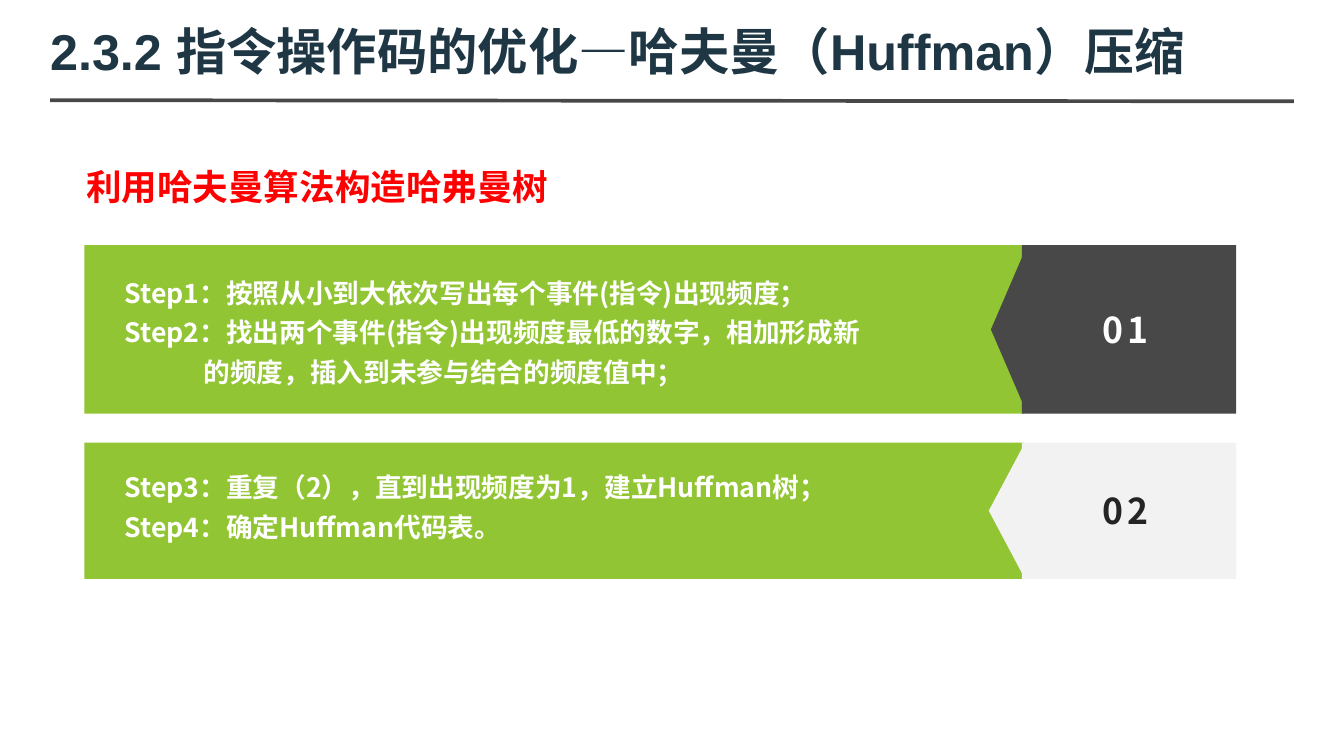
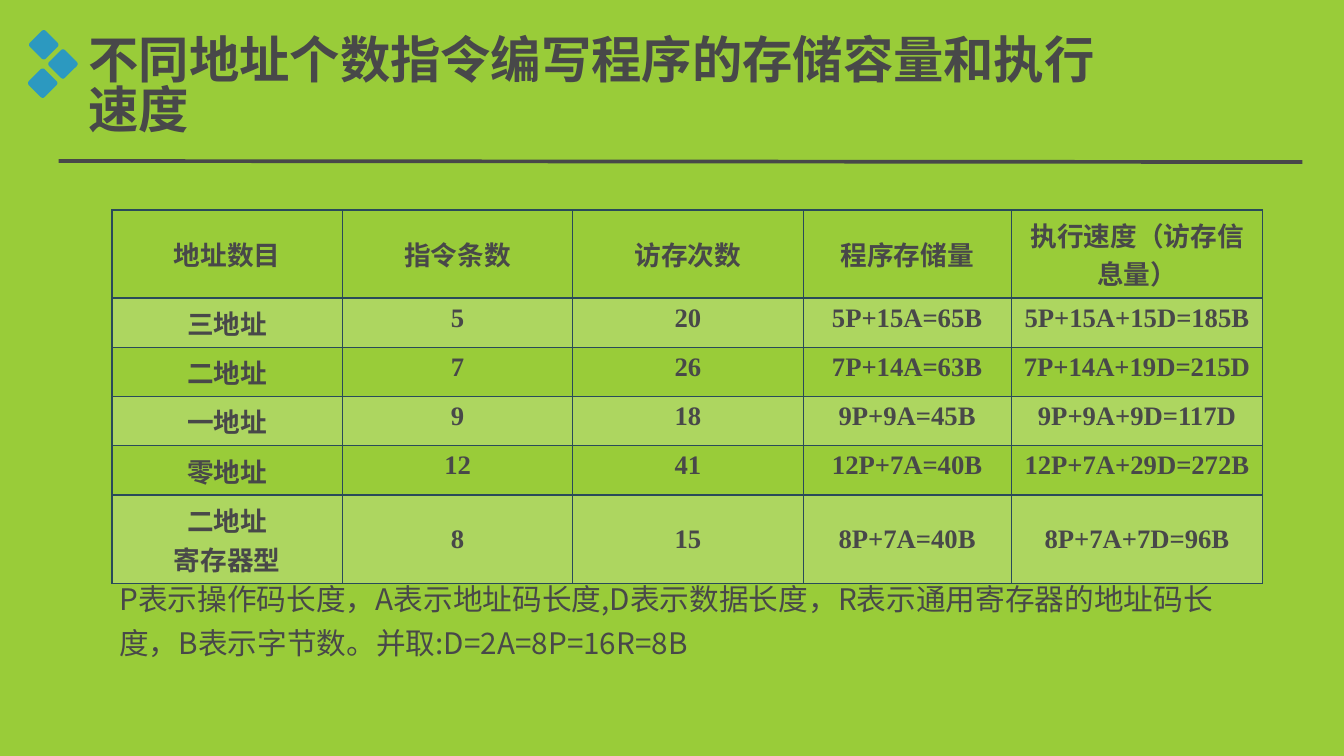
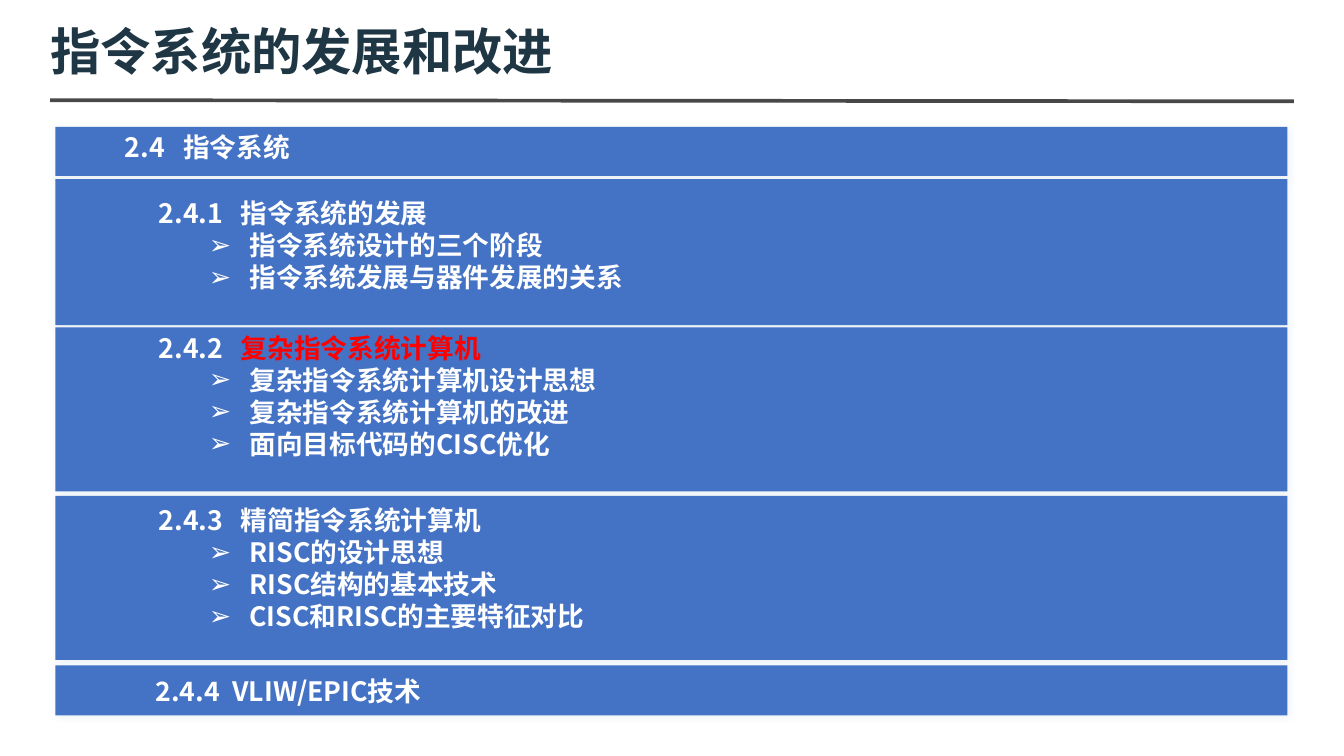
import lxml.etree
import pptx
import pptx.dml.color
import pptx.enum.shapes
import pptx.enum.text
import pptx.oxml.ns
import pptx.util

Inches = pptx.util.Inches
Pt = pptx.util.Pt
qn = pptx.oxml.ns.qn
SHAPE = pptx.enum.shapes.MSO_SHAPE
ALIGN = pptx.enum.text.PP_ALIGN
ANCHOR = pptx.enum.text.MSO_ANCHOR

COLORS = {
    "white": "FFFFFF", "lime": "99CC39", "green": "92C533", "dark": "484849",
    "pale": "F2F2F2", "black": "242424", "red": "FF0000", "navy": "1F3744",
    "border": "294A5A", "diamond": "2C99C0", "band": "4472C4", "glow": "7DADC4",
}
CJK = "Noto Sans CJK SC"
TITLE = {"size": 34, "color": "navy", "name": "Arial", "bold": True}
STEP = {"size": 18, "color": "white", "bold": True}
CELL = {"size": 18, "color": "dark", "name": "Times New Roman", "bold": True}

BANDS = [  # top, height, text left, text top, tab, heading, heading colour, points
    (1.19, 0.46, 1.07, 1.18, 0.55, "2.4", "指令系统", "white", []),
    (1.68, 1.37, 1.39, 1.8, 0.77, "2.4.1", "指令系统的发展", "white",
     ["指令系统设计的三个阶段", "指令系统发展与器件发展的关系"]),
    (3.07, 1.54, 1.39, 3.06, 0.77, "2.4.2", "复杂指令系统计算机", "red",
     ["复杂指令系统计算机设计思想", "复杂指令系统计算机的改进", "面向目标代码的CISC优化"]),
    (4.65, 1.54, 1.39, 4.68, 0.77, "2.4.3", "精简指令系统计算机", "white",
     ["RISC的设计思想", "RISC结构的基本技术", "CISC和RISC的主要特征对比"]),
    (6.24, 0.47, 1.36, 6.28, 0.72, "2.4.4", "VLIW/EPIC技术", "white", []),
]
ROWS = [
    ["地址数目", "指令条数", "访存次数", "程序存储量", "执行速度（访存信息量）"],
    ["三地址", "5", "20", "5P+15A=65B", "5P+15A+15D=185B"],
    ["二地址", "7", "26", "7P+14A=63B", "7P+14A+19D=215D"],
    ["一地址", "9", "18", "9P+9A=45B", "9P+9A+9D=117D"],
    ["零地址", "12", "41", "12P+7A=40B", "12P+7A+29D=272B"],
    ["二地址\n寄存器型", "8", "15", "8P+7A=40B", "8P+7A+7D=96B"],
]


def rgb(color):
    return pptx.dml.color.RGBColor.from_string(COLORS[color])


def child(parent, tag, **values):
    node = lxml.etree.SubElement(parent, qn(tag))
    for key, value in values.items():
        node.set(key, str(value))
    return node


# Text
def add_span(para, text, size, color, name=CJK, bold=False, spacing=0):
    span = para.add_run()
    span.text = text
    for key, value in {"size": Pt(size), "name": name, "bold": bold}.items():
        setattr(span.font, key, value)
    span.font.color.rgb = rgb(color)
    properties = span.font._element
    child(properties, "a:ea", typeface=CJK)
    if spacing:
        properties.set("spc", str(spacing * 100))


def set_frame(frame, inset=None, anchor=ANCHOR.TOP):
    values = {"word_wrap": True, "vertical_anchor": anchor,
              "auto_size": pptx.enum.text.MSO_AUTO_SIZE.NONE}
    if inset is not None:
        for side in ("left", "top", "right", "bottom"):
            values["margin_" + side] = Inches(inset)
    for key, value in values.items():
        setattr(frame, key, value)


def next_para(frame, line_spacing=1.0, align=ALIGN.LEFT):
    first = frame.paragraphs[0]
    para = frame.add_paragraph() if first.runs else first
    para.line_spacing, para.alignment = line_spacing, align
    return para


def add_text(page, place, lines, style, line_spacing=1.0,
             anchor=ANCHOR.TOP, align=ALIGN.LEFT):
    frame = page.shapes.add_textbox(*map(Inches, place)).text_frame
    set_frame(frame, anchor=anchor)
    for line in lines:
        add_span(next_para(frame, line_spacing, align), line, **style)
    return frame


# Shapes
def add_block(page, kind, place, color, rotation=0):
    block = page.shapes.add_shape(kind, *map(Inches, place))
    block.shadow.inherit = False
    block.fill.solid()
    block.fill.fore_color.rgb = rgb(color)
    block.line.fill.background()
    block.rotation = rotation
    return block


def add_glow(block):
    effects = block._element.spPr.find(qn("a:effectLst"))
    glow = child(effects, "a:outerShdw", blurRad=Pt(5), dist=0, dir=0)
    child(child(glow, "a:srgbClr", val=COLORS["glow"]), "a:alpha", val=15000)


def add_rule(page, left, top):
    rule = page.shapes.add_connector(
        pptx.enum.shapes.MSO_CONNECTOR.STRAIGHT,
        *map(Inches, (left, top, left + 11.66, top + 0.01)))
    rule.line.color.rgb = rgb("dark")
    rule.line.width = Pt(2.5)
    child(rule._element.spPr, "a:effectLst")


def add_page(deck, title, background="white", place=(0.47, 0.16, 11.65, 0.63),
             rule=(0.47, 0.94), inset=0, anchor=ANCHOR.MIDDLE, line_spacing=1.0,
             color="navy"):
    page = deck.slides.add_slide(deck.slide_layouts[5])
    page.background.fill.solid()
    page.background.fill.fore_color.rgb = rgb(background)
    box = page.shapes.title
    for key, value in zip(("left", "top", "width", "height"), place):
        setattr(box, key, Inches(value))
    set_frame(box.text_frame, inset, anchor)
    para = next_para(box.text_frame, line_spacing)
    add_span(para, title, **{**TITLE, "color": color})
    add_rule(page, *rule)
    return page


# Step panel: text block, number block and the pointer between them
def add_panel(page, top, height, pointer_left, color, number, number_color):
    add_block(page, SHAPE.RECTANGLE, (0.79, top, 8.81, height), "green")
    add_block(page, SHAPE.RECTANGLE, (9.58, top, 2.01, height), color)
    add_block(page, SHAPE.ISOSCELES_TRIANGLE,
              (pointer_left, top + (height - 0.34) / 2, height, 0.34), color, 270)
    style = {"size": 24, "color": number_color, "bold": True, "spacing": 3}
    add_text(page, (9.64, top + 0.2, 1.82, height - 0.4), [number], style,
             anchor=ANCHOR.MIDDLE, align=ALIGN.CENTER)


def build_huffman(deck):
    page = add_page(deck, "2.3.2 指令操作码的优化—哈夫曼（Huffman）压缩")
    add_text(page, (0.71, 1.4, 6.31, 0.71), ["利用哈夫曼算法构造哈弗曼树"],
             {"size": 24, "color": "red", "bold": True}, 1.24)
    add_panel(page, 2.3, 1.58, 8.67, "dark", "01", "white")
    add_panel(page, 4.15, 1.28, 8.8, "pale", "02", "black")
    frame = add_text(page, (1.07, 2.51, 8.01, 1.14), [
        "Step1：按照从小到大依次写出每个事件(指令)出现频度；",
        "Step2：找出两个事件(指令)出现频度最低的数字，相加形成新",
        "的频度，插入到未参与结合的频度值中；"], STEP, 1.24, ANCHOR.MIDDLE)
    frame.paragraphs[2]._p.get_or_add_pPr().set("marL", str(Inches(0.74)))
    add_text(page, (1.07, 4.15, 6.83, 1.14), [
        "Step3：重复（2），直到出现频度为1，建立Huffman树；",
        "Step4：确定Huffman代码表。"], STEP, 1.24, ANCHOR.MIDDLE)


# Comparison table
def format_cell(cell, text, shaded, anchor):
    cell.vertical_anchor = anchor
    for line in text.split("\n"):
        add_span(next_para(cell.text_frame, align=ALIGN.CENTER), line, **CELL)
    properties = cell._tc.get_or_add_tcPr()
    for side in "LRTB":
        edge = child(properties, "a:ln" + side, w=Pt(1))
        child(child(edge, "a:solidFill"), "a:srgbClr", val=COLORS["border"])
    if shaded:
        cell.fill.solid()
        cell.fill.fore_color.rgb = rgb("white")
        child(properties.find(qn("a:solidFill"))[0], "a:alpha", val=20000)
    else:
        cell.fill.background()


def add_comparison(page):
    widths = [2.16, 2.16, 2.16, 1.95, 2.36]
    heights = [0.82] + [0.46] * 4 + [0.83]
    table = page.shapes.add_table(
        len(ROWS), len(widths),
        *map(Inches, (1.05, 1.97, sum(widths), sum(heights)))).table
    table.first_row = table.horz_banding = False
    for column, width in zip(table.columns, widths):
        column.width = Inches(width)
    for r, (texts, height) in enumerate(zip(ROWS, heights)):
        table.rows[r].height = Inches(height)
        anchor = ANCHOR.MIDDLE if r in (0, len(ROWS) - 1) else ANCHOR.TOP
        for c, text in enumerate(texts):
            format_cell(table.cell(r, c), text, r % 2 == 1, anchor)


def build_addresses(deck):
    page = add_page(deck, "不同地址个数指令编写程序的存储容量和执行速度", "lime",
                    (0.73, 0.31, 9.98, 1.2), (0.55, 1.51), None, ANCHOR.TOP,
                    0.83, "dark")
    side = 0.21
    for x, y in [(0.41, 0.42), (0.59, 0.6), (0.4, 0.78)]:
        diamond = add_block(page, SHAPE.ROUNDED_RECTANGLE,
                            (x - side / 2, y - side / 2, side, side), "diamond", 45)
        diamond.adjustments[0] = 0.12
    add_comparison(page)
    add_text(page, (1.02, 5.32, 10.71, 1.11), [
        "P表示操作码长度，A表示地址码长度,D表示数据长度，R表示通用寄存器的地址码长度，"
        "B表示字节数。并取:D=2A=8P=16R=8B"], {"size": 20, "color": "dark"}, 1.24)


# Outline bands
def add_band(page, top, height, text_left, text_top, tab, number, heading, color, points):
    add_glow(add_block(page, SHAPE.RECTANGLE, (0.52, top, 11.55, height), "band"))
    frame = add_text(page, (text_left, text_top, 6.72, height), [number + "\t"], STEP)
    para = frame.paragraphs[0]
    tabs = child(para._p.get_or_add_pPr(), "a:tabLst")
    child(tabs, "a:tab", pos=Inches(tab), algn="l")
    add_span(para, heading, **{**STEP, "color": color})
    for point in points:
        para = next_para(frame)
        para.level = 1
        properties = para._p.get_or_add_pPr()
        properties.set("marL", str(Inches(0.85)))
        properties.set("indent", str(Inches(-0.38)))
        child(properties, "a:buFont", typeface="Arial")
        child(properties, "a:buChar", char="➢")
        add_span(para, point, **STEP)


def build_outline(deck):
    page = add_page(deck, "指令系统的发展和改进")
    for band in BANDS:
        add_band(page, *band)


def main():
    deck = pptx.Presentation()
    deck.slide_width, deck.slide_height = Inches(12.6), Inches(7.09)
    build_huffman(deck)
    build_addresses(deck)
    build_outline(deck)
    deck.save("out.pptx")


if __name__ == "__main__":
    main()
